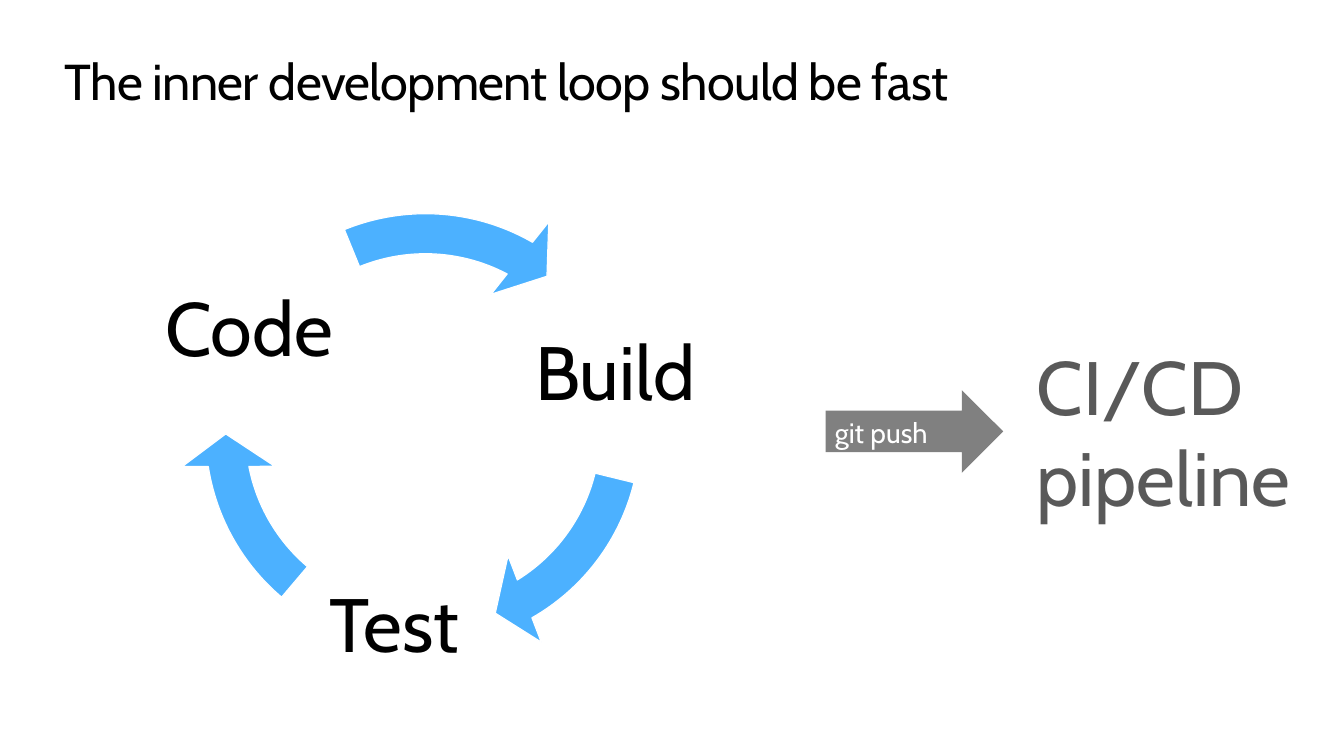
import pptx
import pptx.util
import pptx.dml.color
import pptx.enum.shapes
import pptx.enum.text

Inches, Pt = pptx.util.Inches, pptx.util.Pt
Shape = pptx.enum.shapes.MSO_SHAPE
Align = pptx.enum.text.PP_ALIGN
Anchor = pptx.enum.text.MSO_ANCHOR
Fit = pptx.enum.text.MSO_AUTO_SIZE

TITLE = "The inner development loop should be fast"
PUSH = "git push"
PIPE = ["CI/CD", "pipeline"]

# Step, its left and top, then the left, top, head and tail of its arrow
STEPS = [
    ("Build", 5.09, 2.72, 1.83, 1.89, 35.622, 8.292),
    ("Test", 2.9, 5.22, 1.78, 1.91, 102.14, 78.169),
    ("Code", 1.46, 2.28, 1.83, 1.86, 179.402, 148.694),
]
STEP_SIZE = 2.02
RING_SIZE = 4.78
RING_THICK, HEAD_ANGLE, HEAD_WIDTH = 0.083, 5.766, 0.096


class Theme:
    font = "Cabin"
    black, white = "000000", "FFFFFF"
    blue, gray, dark = "4CB1FF", "808080", "595959"
    title, step, label = 36, 54, 20


def color(code):
    return pptx.dml.color.RGBColor.from_string(code)


def box(*sides):
    return [Inches(side) for side in sides]


def write(frame, lines, size, code, inset=0, align=Align.LEFT,
          anchor=Anchor.TOP, fit=Fit.NONE, wrap=True):
    """Fill a text frame with one paragraph per line; return its runs."""
    frame.word_wrap = wrap
    frame.auto_size = fit
    frame.vertical_anchor = anchor
    frame.margin_left = frame.margin_right = Inches(inset)
    frame.margin_top = frame.margin_bottom = Inches(inset)
    runs = []
    for index, line in enumerate(lines):
        para = frame.add_paragraph() if index else frame.paragraphs[0]
        para.alignment = align
        run = para.add_run()
        run.text = line
        run.font.name = Theme.font
        run.font.size = Pt(size)
        run.font.color.rgb = color(code)
        runs.append(run)
    return runs


def add_arrow(shapes, kind, place, code):
    arrow = shapes.add_shape(kind, *place)
    arrow.shadow.inherit = False
    arrow.fill.solid()
    arrow.fill.fore_color.rgb = color(code)
    arrow.line.fill.background()
    return arrow


def add_title(slide):
    title = slide.shapes.title
    title.left, title.top, title.width, title.height = box(0.64, 0.5, 12.05, 0.61)
    run, = write(title.text_frame, [TITLE], Theme.title, Theme.black,
                 fit=Fit.SHAPE_TO_FIT_TEXT)
    run._r.get_or_add_rPr().set("spc", "-50")


def add_loop(slide):
    shapes = slide.shapes.add_group_shape().shapes
    for name, left, top, ring_left, ring_top, head, tail in STEPS:
        step = shapes.add_textbox(*box(left, top, STEP_SIZE, STEP_SIZE))
        write(step.text_frame, [name], Theme.step, Theme.black, inset=0.07,
              align=Align.CENTER, anchor=Anchor.MIDDLE)
        step.text_frame.paragraphs[0].line_spacing = 0.9

        place = box(ring_left, ring_top, RING_SIZE, RING_SIZE)
        ring = add_arrow(shapes, Shape.CIRCULAR_ARROW, place, Theme.blue)
        ring.line.color.rgb = color(Theme.white)
        ring.line.width = Pt(0.85)
        values = (RING_THICK, HEAD_ANGLE, head, tail, HEAD_WIDTH)
        for index, value in enumerate(values):
            ring.adjustments[index] = value


def add_push(slide):
    shapes = slide.shapes
    add_arrow(shapes, Shape.RIGHT_ARROW, box(8.19, 3.87, 1.76, 0.82), Theme.gray)
    pipe = shapes.add_textbox(*box(10.28, 3.37, 2.66, 1.82))
    write(pipe.text_frame, PIPE, Theme.step, Theme.dark,
          fit=Fit.SHAPE_TO_FIT_TEXT, wrap=False)
    label = shapes.add_textbox(*box(8.28, 4.12, 1.01, 0.34))
    write(label.text_frame, [PUSH], Theme.label, Theme.white,
          fit=Fit.SHAPE_TO_FIT_TEXT)


def main():
    deck = pptx.Presentation()
    deck.slide_width, deck.slide_height = box(13.33, 7.5)
    slide = deck.slides.add_slide(deck.slide_layouts.get_by_name("Title Only"))
    add_title(slide)
    add_loop(slide)
    add_push(slide)
    deck.save("out.pptx")


if __name__ == "__main__":
    main()
